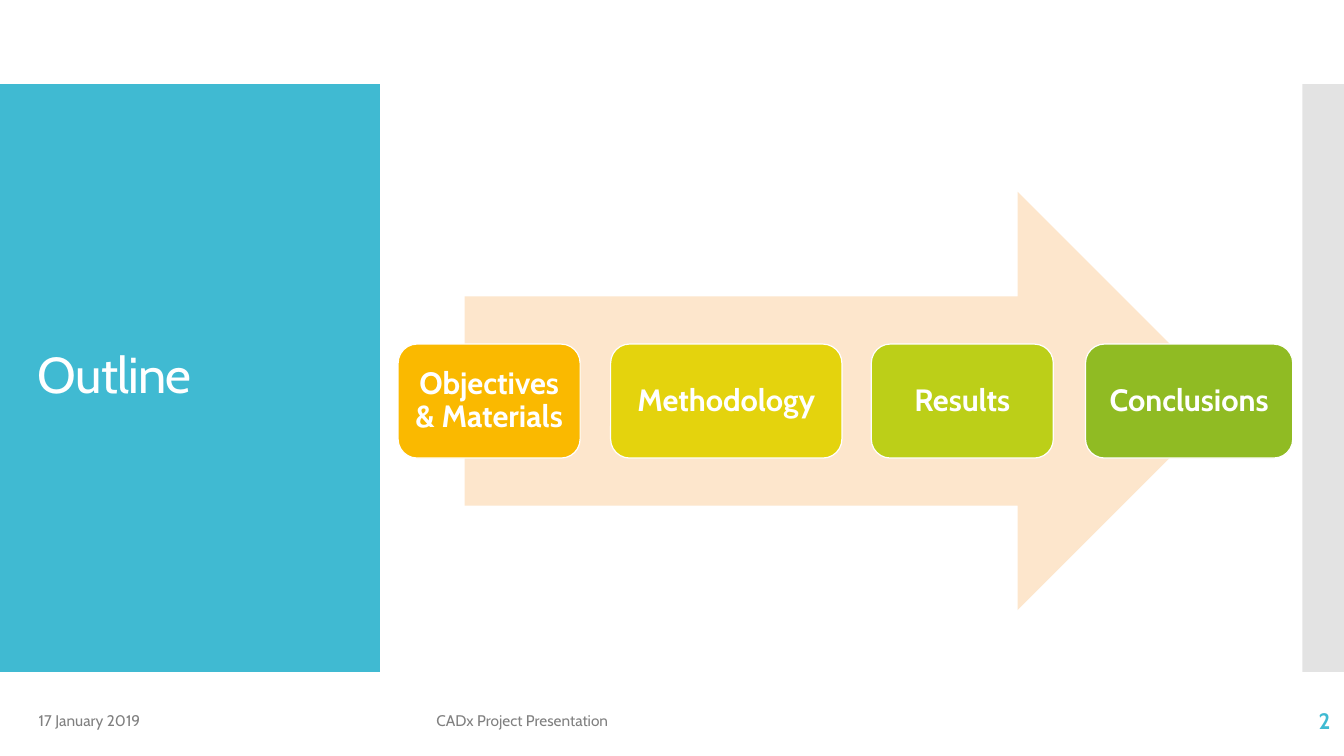
from lxml import etree
from pptx import Presentation
from pptx.dml.color import RGBColor
from pptx.enum import shapes, text
from pptx.oxml import ns
from pptx.util import Pt

COLORS = {
    "white": "FFFFFF",
    "teal": "40BAD2",
    "grey": "C8C8C8",
    "footer": "808080",
    "peach": "FDE6CC",
    "amber": "FAB900",
    "yellow": "E4D30D",
    "lime": "BCCF18",
    "green": "90BB23",
}
FONT = "Cabin"

presentation = Presentation()
presentation.slide_width = Pt(960)
presentation.slide_height = Pt(540)
slide = presentation.slides.add_slide(presentation.slide_layouts[6])


def add_block(kind, left, top, width, height, color):
    """Add a borderless preset shape with a solid fill and no shadow."""
    shape = slide.shapes.add_shape(kind, Pt(left), Pt(top), Pt(width), Pt(height))
    shape.shadow.inherit = False
    shape.fill.solid()
    shape.fill.fore_color.rgb = RGBColor.from_string(COLORS[color])
    shape.line.fill.background()
    return shape


def write(shape, wording, size, color="white", bold=False,
          align=text.PP_ALIGN.LEFT, line_spacing=1.0, tracking=None):
    """Put one vertically centred, wrapped paragraph into a shape."""
    frame = shape.text_frame
    frame.word_wrap = True
    frame.vertical_anchor = text.MSO_ANCHOR.MIDDLE
    paragraph = frame.paragraphs[0]
    paragraph.alignment = align
    paragraph.line_spacing = line_spacing
    run = paragraph.add_run()
    run.text = wording
    run.font.name = FONT
    run.font.size = Pt(size)
    run.font.bold = bold
    run.font.color.rgb = RGBColor.from_string(COLORS[color])
    if tracking is not None:
        run.font._element.set("spc", str(round(tracking * 100)))


# Side panels
panel_top, panel_height = 60, 420
add_block(shapes.MSO_SHAPE.RECTANGLE, 0, panel_top, 271.3, panel_height, "teal")
strip = add_block(shapes.MSO_SHAPE.RECTANGLE, 930.2, panel_top, 29.8, panel_height, "grey")
strip_color = strip.fill._xPr.find(".//" + ns.qn("a:srgbClr"))
etree.SubElement(strip_color, ns.qn("a:alpha"), val="50000")

# Title
title = slide.shapes.add_textbox(Pt(20), Pt(88.5), Pt(232), Pt(362))
write(title, "Outline", 36, line_spacing=0.9, tracking=-0.6)

# Footer
footer_items = [
    ("17 January 2019", 20.6, 216, dict(size=11, color="footer")),
    ("CADx Project Presentation", 304.6, 465, dict(size=11, color="footer")),
    ("2", 837.4, 120, dict(size=16, color="teal", bold=True, align=text.PP_ALIGN.RIGHT)),
]
for wording, left, width, style in footer_items:
    footer = slide.shapes.add_textbox(Pt(left), Pt(500.4), Pt(width), Pt(28.8))
    write(footer, wording, **style)

# Process arrow with its steps
add_block(shapes.MSO_SHAPE.RIGHT_ARROW, 332, 137, 544.3, 298.8, "peach")

steps = [
    ("Objectives & Materials", 284.4, 130, "amber"),
    ("Methodology", 436.2, 165.2, "yellow"),
    ("Results", 622.4, 130, "lime"),
    ("Conclusions", 775.4, 148, "green"),
]
for wording, left, width, color in steps:
    step = add_block(shapes.MSO_SHAPE.ROUNDED_RECTANGLE, left, 245.8, width, 81.4, color)
    step.line.color.rgb = RGBColor.from_string(COLORS["white"])
    step.line.width = Pt(0.85)
    step.text_frame.margin_left = step.text_frame.margin_right = Pt(6)
    write(step, wording, 22, bold=True, align=text.PP_ALIGN.CENTER, line_spacing=0.9)

presentation.save("out.pptx")
